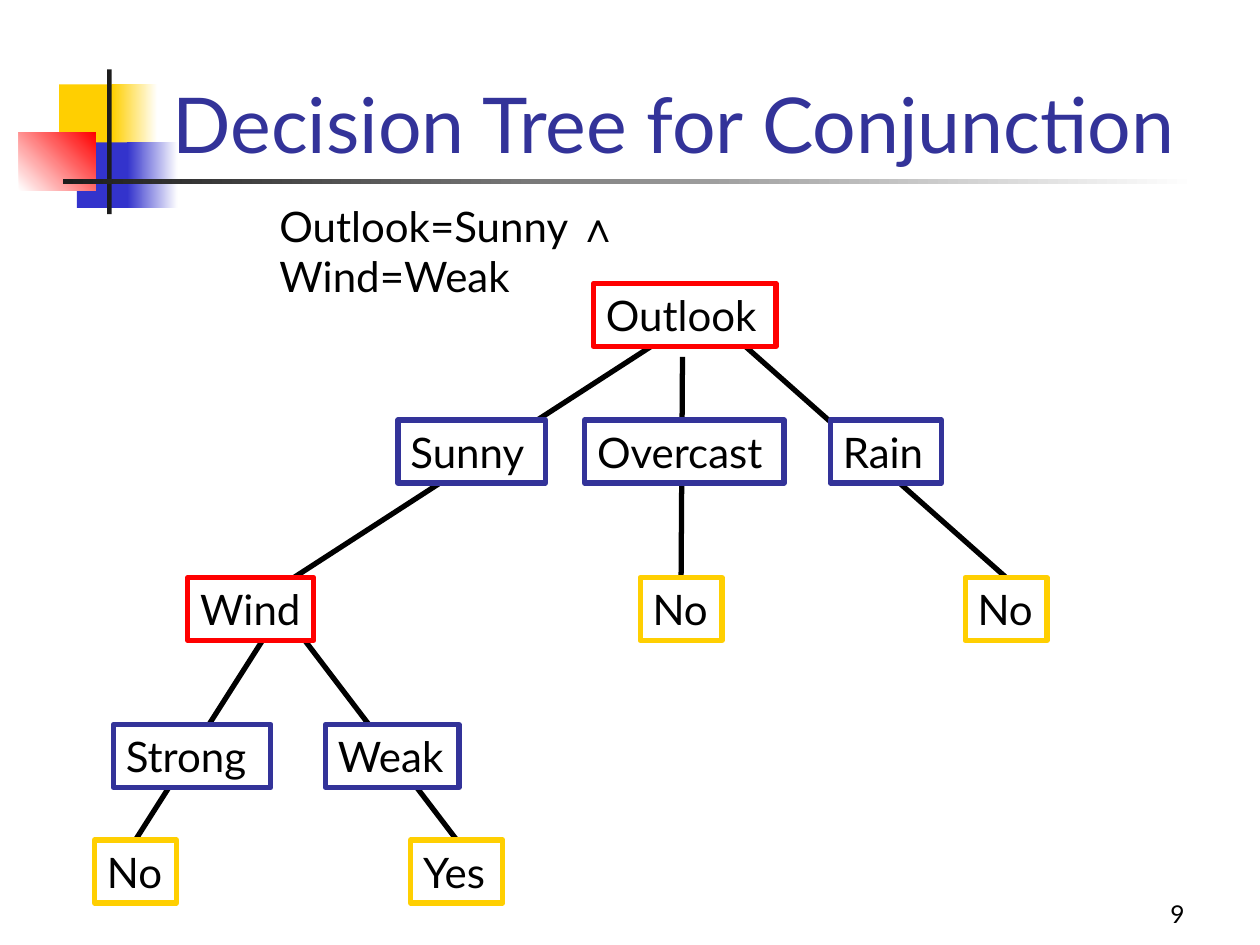
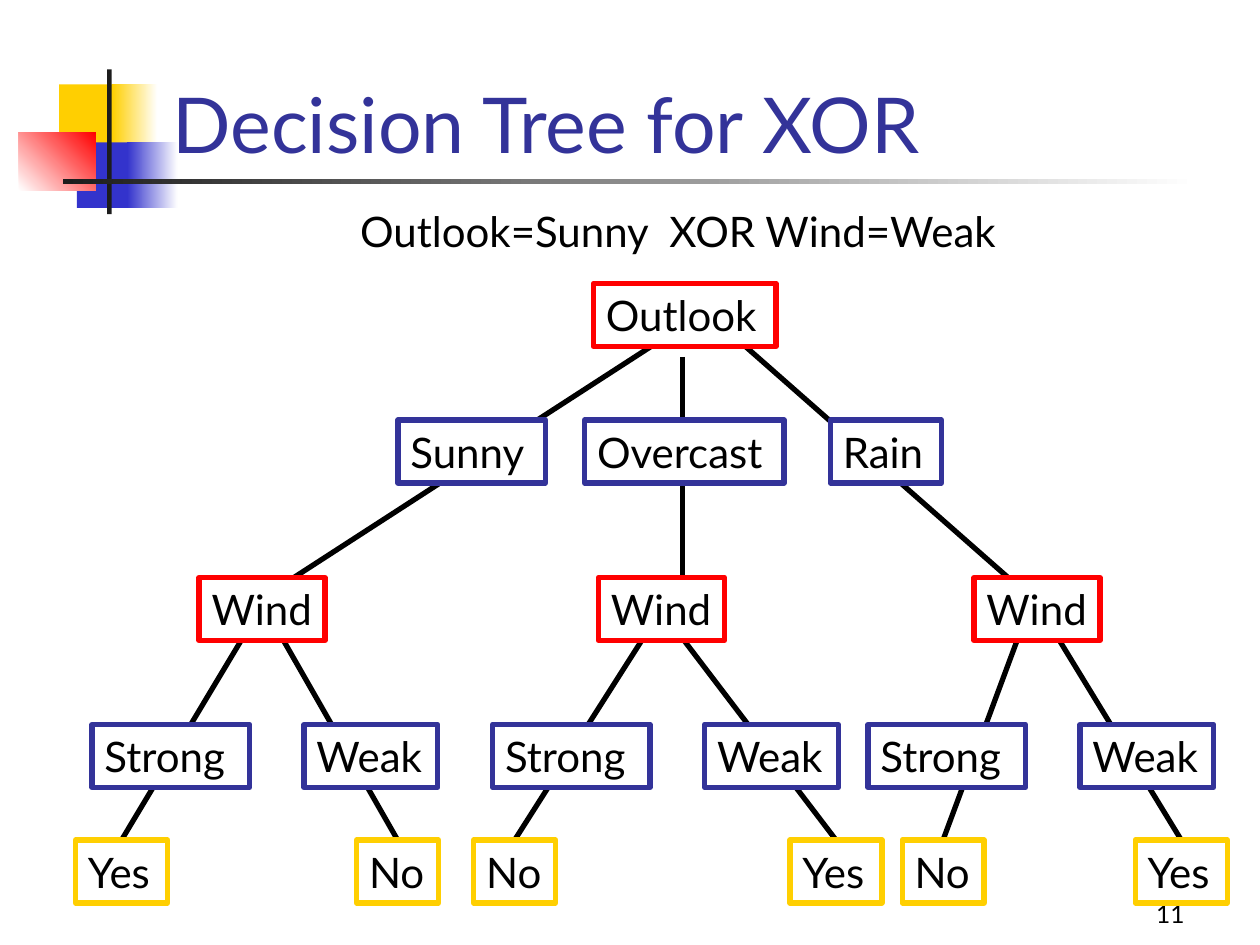
import pptx
import pptx.util
import pptx.dml.color
import pptx.enum.shapes
import pptx.enum.text
import pptx.oxml.ns
from lxml import etree

Pt = pptx.util.Pt
RGB = pptx.dml.color.RGBColor
ALIGN = pptx.enum.text.PP_ALIGN
ANCHOR = pptx.enum.text.MSO_ANCHOR
RECT = pptx.enum.shapes.MSO_SHAPE.RECTANGLE
STRAIGHT = pptx.enum.shapes.MSO_CONNECTOR.STRAIGHT

BLACK = RGB(0x00, 0x00, 0x00)
WHITE = RGB(0xFF, 0xFF, 0xFF)
CHARCOAL = RGB(0x1C, 0x1C, 0x1C)
RED = RGB(0xFF, 0x00, 0x00)
YELLOW = RGB(0xFF, 0xCF, 0x01)
BLUE = RGB(0x33, 0x33, 0xCC)
NAVY = RGB(0x33, 0x33, 0x99)
FONT = "Lato"

# Content: a subtree is (Wind x, Strong x, (left answer, x), (right answer, x)),
# a bare answer is (answer, x)
SLIDES = [
    {
        "title": "Decision Tree for Conjunction",
        "number": "9",
        "formula": [("Outlook=Sunny ", FONT), ("∧", "Arial"), (" Wind=Weak", FONT)],
        "formula_box": (152.6, 111, 342.7, 36),
        "formula_inset": 90,
        "subtrees": [(107.3, 64.8, ("No", 54), ("Yes", 234.7))],
        "answers": [("No", 365.8), ("No", 551.5)],
    },
    {
        "title": "Decision Tree for XOR",
        "number": "11",
        "formula": [("Outlook=Sunny  XOR Wind=Weak", FONT)],
        "formula_box": (198.7, 113.8, 388.8, 36),
        "formula_inset": 0,
        "subtrees": [
            (113.8, 52.6, ("Yes", 43.2), ("No", 203.8)),
            (342, 281.5, ("No", 270.7), ("Yes", 451.4)),
            (556.6, 496, ("No", 515.5), ("Yes", 648.7)),
        ],
        "answers": [],
    },
]

# Node kinds: label -> (width, outline)
NODES = {
    "Outlook": (104.4, RED), "Wind": (72, RED),
    "Sunny": (84.2, NAVY), "Overcast": (114, NAVY), "Rain": (63.4, NAVY),
    "Strong": (90, NAVY), "Weak": (76.3, NAVY),
    "No": (46.8, YELLOW), "Yes": (52.6, YELLOW),
}
NODE_H = 36
ROOT_Y, OUTLOOK_Y, TEST_Y, WIND_Y, ANSWER_Y = 162, 240, 330, 414, 480
TOP_NODES = [("Outlook", 339.1, ROOT_Y), ("Sunny", 227.5, OUTLOOK_Y),
             ("Overcast", 334.1, OUTLOOK_Y), ("Rain", 474.5, OUTLOOK_Y)]
TOP_LINES = [(372, 198, 168), (390, 204, 390), (426, 198, 576)]  # x, y, end x
WEAK_DX = 121.2               # Weak from Strong
BRANCH_DX = (85.2, 109.4)     # line starts from Strong

# Title ornament: x, y, w, h, colours, gradient angle
ORNAMENT = [
    (33.8, 48.2, 34.6, 37.4, (YELLOW,), 0),
    (64.1, 48.2, 25.9, 37.4, (YELLOW, WHITE), 0),
    (43.9, 81.4, 33.1, 37.4, (BLUE,), 0),
    (72.7, 81.4, 28.8, 37.4, (BLUE, WHITE), 0),
    (10.8, 75.6, 43.9, 33.1, (WHITE, RED), 45),
    (61.2, 39.6, 2.6, 82.8, (CHARCOAL,), 0),
    (36, 102.2, 648, 2.9, (CHARCOAL, WHITE), 0),
]


def write(sp, runs, size=24, color=BLACK, align=ALIGN.LEFT, anchor=ANCHOR.TOP, right=7.2):
    tf = sp.text_frame
    tf.word_wrap = True
    tf.vertical_anchor = anchor
    tf.margin_left, tf.margin_right = Pt(7.2), Pt(right)
    tf.margin_top = tf.margin_bottom = Pt(3.6)
    p = tf.paragraphs[0]
    p.alignment = align
    for text, font in [(runs, FONT)] if isinstance(runs, str) else runs:
        r = p.add_run()
        r.text = text
        r.font.name, r.font.size, r.font.color.rgb = font, Pt(size), color


def add_text(s, runs, box, **fmt):
    write(s.shapes.add_textbox(*map(Pt, box)), runs, **fmt)


def add_rect(s, x, y, w, h, colors, angle=0):
    sp = s.shapes.add_shape(RECT, Pt(x), Pt(y), Pt(w), Pt(h))
    sp.shadow.inherit = False
    sp.line.fill.background()
    if len(colors) == 1:
        sp.fill.solid()
        sp.fill.fore_color.rgb = colors[0]
    else:
        sp.fill.gradient()
        sp.fill.gradient_angle = angle
        for stop, color in zip(sp.fill.gradient_stops, colors):
            stop.color.rgb = color
    return sp


def add_node(s, label, x, y):
    w, outline = NODES[label]
    sp = add_rect(s, x, y, w, NODE_H, (WHITE,))
    sp.line.color.rgb, sp.line.width = outline, Pt(3)
    write(sp, label, right=0)
    return sp


def add_line(s, x1, y1, x2, y2):
    c = s.shapes.add_connector(STRAIGHT, Pt(x1), Pt(y1), Pt(x2), Pt(y2))
    c.line.color.rgb, c.line.width = BLACK, Pt(3)
    etree.SubElement(c._element.spPr, pptx.oxml.ns.qn("a:effectLst"))
    return c


def add_subtree(s, wind_x, strong_x, *answers):
    lines = [add_line(s, strong_x + dx, TEST_Y + NODE_H, x, ANSWER_Y)
             for dx, (label, x) in zip(BRANCH_DX, answers)]
    add_node(s, "Wind", wind_x, TEST_Y)
    add_node(s, "Strong", strong_x, WIND_Y)
    add_node(s, "Weak", strong_x + WEAK_DX, WIND_Y)
    for line, (label, x) in zip(lines, answers):
        line.end_connect(add_node(s, label, x, ANSWER_Y), 0)


def build_slide(prs, data):
    s = prs.slides.add_slide(prs.slide_layouts[6])
    # Frame
    for part in ORNAMENT:
        add_rect(s, *part)
    add_text(s, data["number"], (534.2, 498.2, 149.8, 36), size=14,
             align=ALIGN.RIGHT, anchor=ANCHOR.BOTTOM)
    add_text(s, data["title"], (91.4, 10.1, 613.4, 90), size=44, color=NAVY,
             anchor=ANCHOR.BOTTOM)
    add_text(s, data["formula"], data["formula_box"], right=data["formula_inset"])
    # Tree
    lines = [add_line(s, x, y, end_x, TEST_Y) for x, y, end_x in TOP_LINES]
    for node in TOP_NODES:
        add_node(s, *node)
    for subtree in data["subtrees"]:
        add_subtree(s, *subtree)
    for line, (label, x) in zip(lines[1:], data["answers"]):
        line.end_connect(add_node(s, label, x, TEST_Y), 0)


def main():
    prs = pptx.Presentation()
    prs.slide_width, prs.slide_height = Pt(720), Pt(540)
    for data in SLIDES:
        build_slide(prs, data)
    prs.save("out.pptx")


if __name__ == "__main__":
    main()
